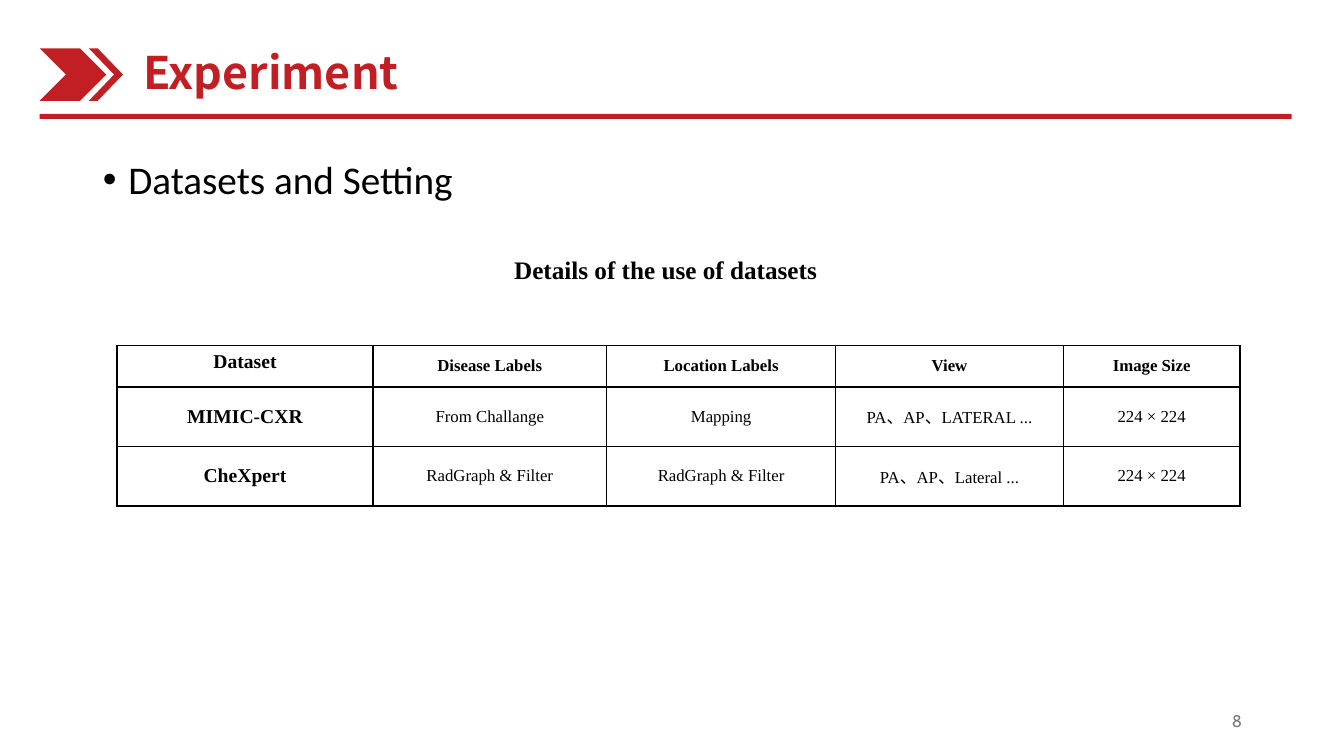
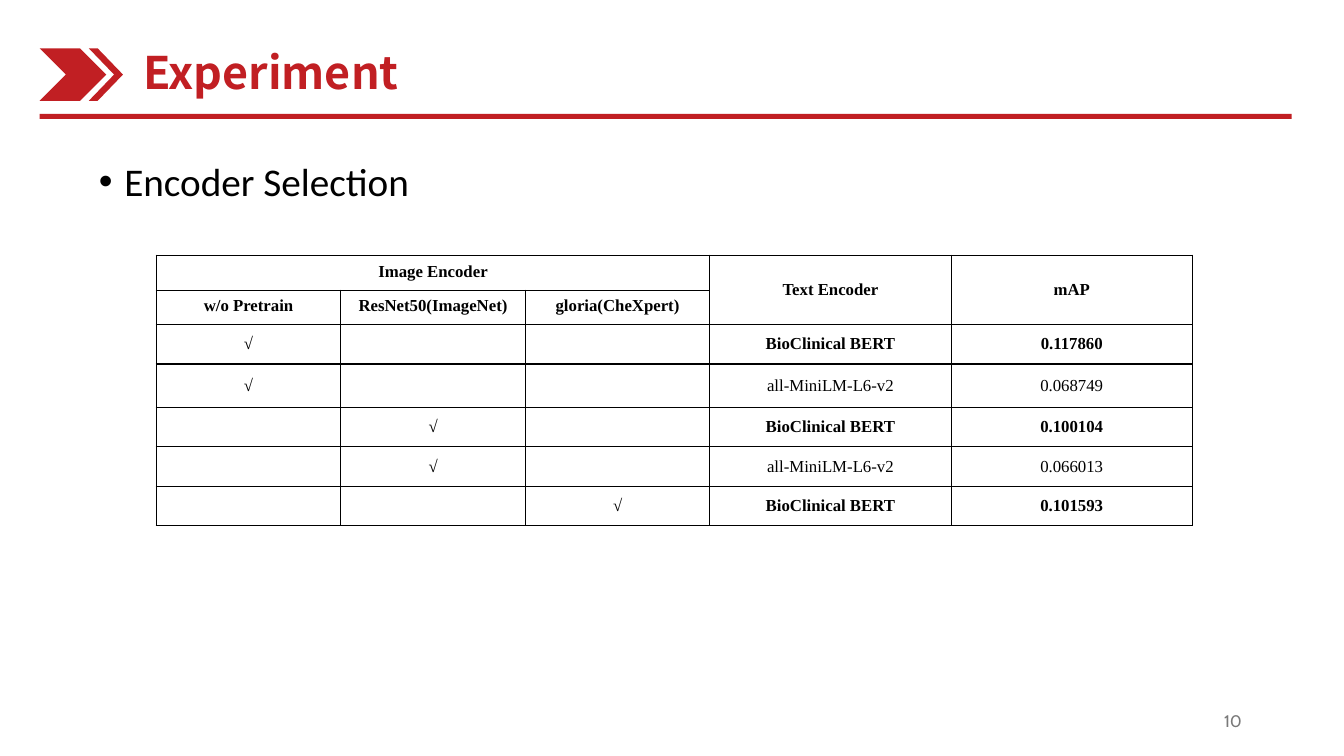
from lxml import etree
from pptx import Presentation
from pptx.dml.color import RGBColor
from pptx.enum import shapes, text
from pptx.oxml import ns
from pptx.util import Cm, Pt

RED, BLACK, GREY = "C11F23", "000000", "797979"
SERIF = "Times New Roman"
LEFT, CENTER, RIGHT = (text.PP_ALIGN.LEFT, text.PP_ALIGN.CENTER,
                       text.PP_ALIGN.RIGHT)
TOP, MIDDLE, BOTTOM = (text.MSO_ANCHOR.TOP, text.MSO_ANCHOR.MIDDLE,
                       text.MSO_ANCHOR.BOTTOM)

# Content
TITLE = "Experiment"
CAPTION = "Details of the use of datasets"
DATASETS = [
    ("Dataset", "Disease Labels", "Location Labels", "View", "Image Size"),
    ("MIMIC-CXR", "From Challange", "Mapping", "PA、AP、LATERAL ...", "224 × 224"),
    ("CheXpert", "RadGraph & Filter", "RadGraph & Filter", "PA、AP、Lateral ...",
     "224 × 224"),
]
IMAGE_ENCODERS = ("w/o Pretrain", "ResNet50(ImageNet)", "gloria(CheXpert)")
BEST_TEXT_ENCODER = "BioClinical BERT"
RESULTS = [  # image encoder column, text encoder, mAP
    (0, BEST_TEXT_ENCODER, "0.117860"),
    (0, "all-MiniLM-L6-v2", "0.068749"),
    (1, BEST_TEXT_ENCODER, "0.100104"),
    (1, "all-MiniLM-L6-v2", "0.066013"),
    (2, BEST_TEXT_ENCODER, "0.101593"),
]


def rgb(value):
    return RGBColor.from_string(value)


def box(*lengths):
    return [Cm(length) for length in lengths]


def place(shape, *lengths):
    shape.left, shape.top, shape.width, shape.height = box(*lengths)


def write(frame, words, size, font, color, bold=False, align=LEFT, anchor=TOP):
    """Fill a text frame or table cell with one formatted paragraph."""
    frame.vertical_anchor = anchor
    line = getattr(frame, "text_frame", frame).paragraphs[0]
    line.text = words
    line.alignment = align
    line.font.size, line.font.name, line.font.bold = Pt(size), font, bold
    line.font.color.rgb = rgb(color)
    return line


def add_text(slide, area, *style, **options):
    frame = slide.shapes.add_textbox(*box(*area)).text_frame
    frame.word_wrap = True
    write(frame, *style, **options)


def add_red(parent, kind, *lengths):
    shape = parent.add_shape(kind, *box(*lengths))
    shape.shadow.inherit = False
    shape.fill.solid()
    shape.fill.fore_color.rgb = rgb(RED)
    shape.line.fill.background()
    return shape


def add_slide(deck, topic, topic_area, number):
    """Add a slide with the shared header, one bulleted topic and its number."""
    slide = deck.slides.add_slide(deck.slide_layouts[1])
    add_red(slide.shapes, shapes.MSO_SHAPE.RECTANGLE, 1, 2.87, 31.55, 0.13)
    arrows = slide.shapes.add_group_shape().shapes
    add_red(arrows, shapes.MSO_SHAPE.CHEVRON, 1, 1.22, 1.68, 1.32)
    thin = add_red(arrows, shapes.MSO_SHAPE.CHEVRON, 2.24, 1.22, 0.86, 1.32)
    thin.adjustments[0] = 0.74

    title, body = slide.placeholders
    place(title, 3.35, 0.99, 12, 1.63)
    place(body, *topic_area)
    for holder in (title, body):
        holder.text_frame.auto_size = text.MSO_AUTO_SIZE.NONE
    write(title.text_frame, TITLE, 32, "Noto Sans CJK SC", RED, bold=True)
    line = write(body.text_frame, topic, 28, "Calibri", BLACK)
    line.line_spacing, line.space_before = 0.9, Pt(10)
    indent = line._p.get_or_add_pPr()
    indent.set("marL", str(Cm(0.64)))
    indent.set("indent", str(-Cm(0.64)))
    etree.SubElement(indent, ns.qn("a:buChar")).set("char", "•")
    # the schema wants the bullet ahead of the default run properties
    indent.append(indent.find(ns.qn("a:defRPr")))

    add_text(slide, (23.93, 17.65, 7.62, 1.02), number, 12, "Cabin", GREY,
             align=RIGHT, anchor=MIDDLE)
    return slide


def add_borders(cell):
    properties = cell._tc.get_or_add_tcPr()
    for order, side in enumerate(("lnL", "lnR", "lnT", "lnB")):
        border = etree.Element(ns.qn("a:" + side), w=str(Pt(1)))
        fill = etree.SubElement(border, ns.qn("a:solidFill"))
        etree.SubElement(fill, ns.qn("a:srgbClr")).set("val", BLACK)
        properties.insert(order, border)


def add_grid(slide, left, top, widths, heights):
    """Add an empty, unfilled table with black borders."""
    table = slide.shapes.add_table(
        len(heights), len(widths),
        *box(left, top, sum(widths), sum(heights))).table
    table.first_row = table.horz_banding = False
    for column, width in zip(table.columns, widths):
        column.width = Cm(width)
    for row, height in zip(table.rows, heights):
        row.height = Cm(height)
    for cell in table.iter_cells():
        cell.fill.background()
        cell.margin_left = cell.margin_right = Cm(0.03)
        cell.margin_top = cell.margin_bottom = 0
        add_borders(cell)
    return table


def write_cell(cell, words, size=12, bold=False, anchor=MIDDLE):
    return write(cell, words, size, SERIF, BLACK, bold, CENTER, anchor)


def add_datasets(deck):
    slide = add_slide(deck, "Datasets and Setting", (2.34, 3.91, 29.21, 13.26), "8")
    table = add_grid(slide, 2.95, 8.71, (6.45, 5.89, 5.77, 5.74, 4.45),
                     (1.04, 1.5, 1.5))
    for r, record in enumerate(DATASETS):
        for c, words in enumerate(record):
            write_cell(table.cell(r, c), words, 12 if c else 14, r == 0 or c == 0)
    corner = table.cell(0, 0)
    corner.vertical_anchor, corner.margin_top = TOP, Cm(0.13)
    add_text(slide, (10.54, 6.27, 12.47, 1.02), CAPTION, 18, SERIF, BLACK,
             bold=True, align=CENTER, anchor=BOTTOM)


def add_encoders(deck):
    slide = add_slide(deck, "Encoder Selection", (2.24, 3.96, 11.28, 1.32), "10")
    table = add_grid(slide, 3.94, 6.43, [4.65] * 3 + [6.08] * 2,
                     (0.88, 0.87, 0.99, 1.1, 0.99, 0.99, 0.99))
    table.cell(0, 0).merge(table.cell(0, 2))
    for c, words in enumerate(("Text Encoder", "mAP"), 3):
        table.cell(0, c).merge(table.cell(1, c))
        write_cell(table.cell(0, c), words, bold=True)
    image_heads = [(0, 0, "Image Encoder")]
    image_heads += [(1, c, words) for c, words in enumerate(IMAGE_ENCODERS)]
    for r, c, words in image_heads:
        write_cell(table.cell(r, c), words, bold=True).line_spacing = 0.8
    for r, (used, encoder, score) in enumerate(RESULTS, 2):
        best = encoder == BEST_TEXT_ENCODER
        write_cell(table.cell(r, used), "√", bold=used > 0)
        write_cell(table.cell(r, 3), encoder, bold=best)
        write_cell(table.cell(r, 4), score, bold=best)


def main():
    deck = Presentation()
    deck.slide_width, deck.slide_height = box(33.87, 19.05)
    add_datasets(deck)
    add_encoders(deck)
    deck.save("out.pptx")


if __name__ == "__main__":
    main()
